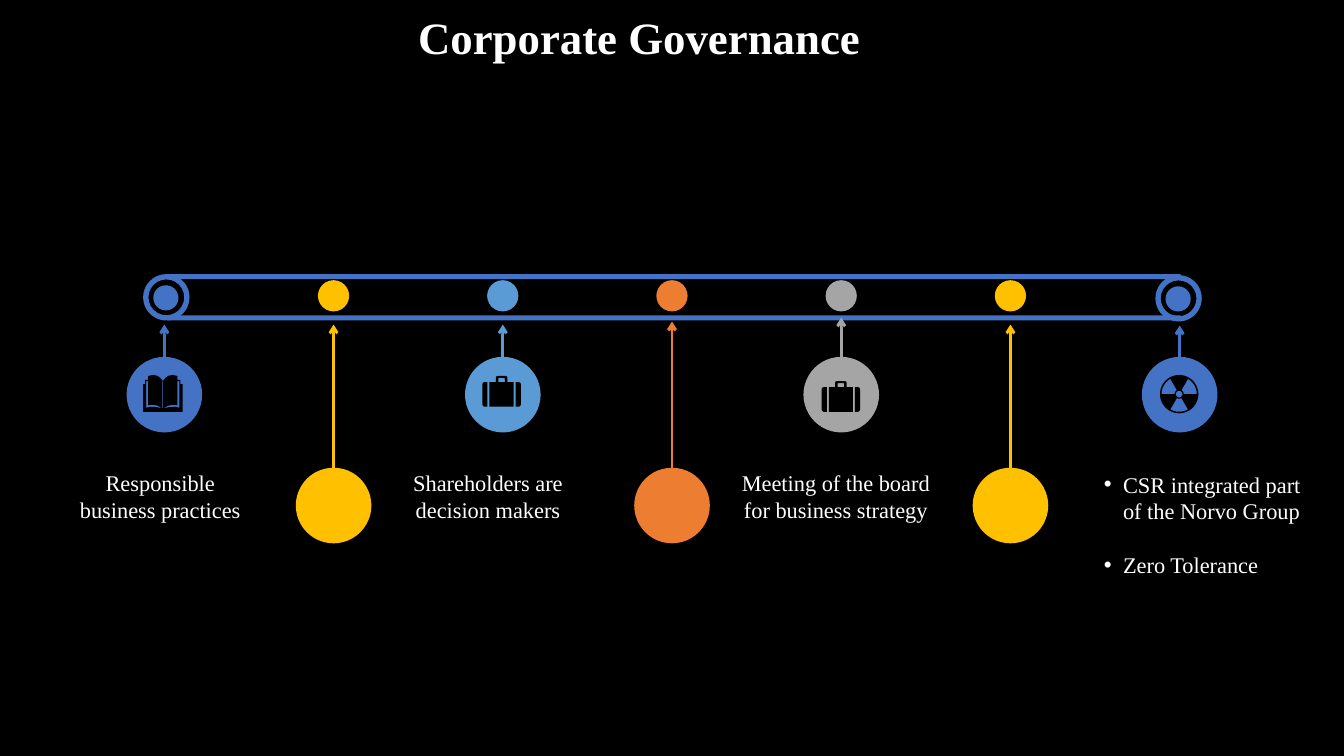
import math

import pptx
import pptx.util
from lxml import etree
from pptx.dml.color import RGBColor
from pptx.enum.shapes import MSO_CONNECTOR, MSO_SHAPE
from pptx.enum.text import MSO_ANCHOR, PP_ALIGN
from pptx.oxml.ns import qn
from pptx.util import Inches

FONT = "Times New Roman"
BLACK, WHITE = "000000", "FFFFFF"
BLUE, YELLOW, SKY, ORANGE, GRAY = "4472C4", "FFC000", "5B9BD5", "ED7D31", "A5A5A5"

TITLE = "Corporate Governance"
# colour, top of the large circle, tip of the arrow
HIGH, LOW = 3.54, 4.64
MILESTONES = [
    (BLUE, HIGH, 3.22),
    (YELLOW, LOW, 3.22),
    (SKY, HIGH, 3.22),
    (ORANGE, LOW, 3.19),
    (GRAY, HIGH, 3.15),
    (YELLOW, LOW, 3.22),
    (BLUE, HIGH, 3.23),
]
# left, top, width, height, text
CAPTIONS = [
    (0.66, 4.61, 1.86, 0.64, "Responsible business practices"),
    (3.85, 4.61, 1.98, 0.64, "Shareholders are decision makers"),
    (7.13, 4.61, 2.32, 0.64, "Meeting of the board for business strategy"),
]
BULLETS = ["CSR integrated part of the Norvo Group", "Zero Tolerance"]
BULLET_BOX = (10.85, 4.62, 2.32, 1.18)
PULLEYS = [(1.42, 2.72), (11.46, 2.73)]
BELT_TOPS = [2.72, 3.13]

FIRST_CENTER, LAST_CENTER = 1.63, 11.7
STEP = (LAST_CENTER - FIRST_CENTER) / (len(MILESTONES) - 1)
CIRCLE, DOT, DOT_TOP = 0.75, 0.31, 2.78

# Icon outlines: distance right of the icon's centre line, distance below its top
CASE_CAP = [(0.14, 0.06), (0.17, 0.06), (0.185, 0.067), (0.192, 0.085),
            (0.192, 0.28), (0.185, 0.297), (0.17, 0.305), (0.14, 0.305)]
CASE_BODY = [(0.04, 0), (0.053, 0.006), (0.058, 0.02), (0.058, 0.06),
             (0.12, 0.06), (0.12, 0.305)]
CASE_HANDLE = [(0.028, 0.02), (0.033, 0.028), (0.033, 0.06)]
BOOK_COVER = [(0, 0.06), (0.03, 0.025), (0.06, 0.006), (0.1, 0), (0.145, 0.01),
              (0.145, 0.05), (0.175, 0.05), (0.175, 0.09), (0.195, 0.09), (0.195, 0.365)]
BOOK_SPINE = [(0.004, 0.06), (0.004, 0.33)]
BOOK_PAGE = [(0.008, 0.33), (0.05, 0.305), (0.1, 0.295), (0.145, 0.3), (0.145, 0.06),
             (0.165, 0.06), (0.165, 0.325), (0.12, 0.315), (0.06, 0.32)]


def color(hex_text):
    return RGBColor.from_string(hex_text)


def add_filled(slide, kind, left, top, width, height, fill):
    shape = slide.shapes.add_shape(kind, *map(Inches, (left, top, width, height)))
    return paint(shape, fill)


def paint(shape, fill):
    shape.shadow.inherit = False
    shape.fill.solid()
    shape.fill.fore_color.rgb = color(fill)
    shape.line.fill.background()
    return shape


def add_text(slide, box, lines, size, bold=False, align=PP_ALIGN.CENTER):
    """Add a wrapped text box with one paragraph per line."""
    frame = slide.shapes.add_textbox(*map(Inches, box)).text_frame
    frame.word_wrap = True
    for index, line in enumerate(lines):
        paragraph = frame.paragraphs[0] if index == 0 else frame.add_paragraph()
        paragraph.alignment = align
        run = paragraph.add_run()
        run.text = line
        run.font.name = FONT
        run.font.size = pptx.util.Pt(size)
        run.font.bold = bold
        run.font.color.rgb = color(WHITE)
    return frame


def add_bullet(paragraph):
    properties = paragraph._p.get_or_add_pPr()
    properties.set("marL", str(Inches(0.19)))
    properties.set("indent", str(-Inches(0.19)))
    etree.SubElement(properties, qn("a:buFont")).set("typeface", "Arial")
    etree.SubElement(properties, qn("a:buChar")).set("char", "•")


def add_arrow(slide, x, start, tip, line_color):
    arrow = slide.shapes.add_connector(
        MSO_CONNECTOR.STRAIGHT, *map(Inches, (x, start, x, tip)))
    arrow.line.color.rgb = color(line_color)
    arrow.line.width = pptx.util.Pt(2)
    etree.SubElement(arrow.line._get_or_add_ln(), qn("a:tailEnd")).set("type", "arrow")
    etree.SubElement(arrow._element.spPr, qn("a:effectLst"))


def add_icon(slide, center, top, contours):
    """Draw closed contours as one shape; inner contours become holes."""
    placed = [[(Inches(center + x), Inches(top + y)) for x, y in contour]
              for contour in contours]
    builder = slide.shapes.build_freeform(*placed[0][0], scale=1.0)
    for index, contour in enumerate(placed):
        if index:
            builder.move_to(*contour[0])
        builder.add_line_segments(contour[1:], close=True)
    paint(builder.convert_to_shape(), BLACK)


def mirrored(points):
    return [(-x, y) for x, y in reversed(points)]


def symmetric(half):
    return half + mirrored(half)


def arc(radius, start, end, middle):
    steps = max(2, abs(end - start) // 5)
    angles = [math.radians(start + (end - start) * i / steps) for i in range(steps + 1)]
    return [(radius * math.cos(a), middle + radius * math.sin(a)) for a in angles]


def radiation_contours():
    middle = 0.19
    blades = [arc(0.175, a, a + 60, middle) + arc(0.045, a + 60, a, middle)
              for a in (60, 180, 300)]
    return [arc(0.19, 0, 360, middle), arc(0.033, 0, 360, middle)] + blades


def main():
    presentation = pptx.Presentation()
    presentation.slide_width = Inches(13.33)
    presentation.slide_height = Inches(7.5)
    slide = presentation.slides.add_slide(presentation.slide_layouts[6])
    slide.background.fill.solid()
    slide.background.fill.fore_color.rgb = color(BLACK)

    title = add_text(slide, (0.01, 0, 12.66, 0.79), [TITLE], 32, bold=True)
    title.vertical_anchor = MSO_ANCHOR.MIDDLE
    title.paragraphs[0].line_spacing = 0.9

    for left, top in PULLEYS:
        ring = add_filled(slide, MSO_SHAPE.DONUT, left, top, 0.46, 0.46, BLUE)
        ring.adjustments[0] = 0.114
        add_filled(slide, MSO_SHAPE.OVAL, left + 0.1, top + 0.11, 0.25, 0.25, BLUE)
    for top in BELT_TOPS:
        add_filled(slide, MSO_SHAPE.RECTANGLE, 1.66, top, 10.05, 0.05, BLUE)

    centers = [FIRST_CENTER + STEP * i for i in range(len(MILESTONES))]
    for index, (center, (fill, top, tip)) in enumerate(zip(centers, MILESTONES)):
        if 0 < index < len(MILESTONES) - 1:
            add_filled(slide, MSO_SHAPE.OVAL, center - DOT / 2, DOT_TOP, DOT, DOT, fill)
        add_filled(slide, MSO_SHAPE.OVAL, center - CIRCLE / 2, top, CIRCLE, CIRCLE, fill)
        add_arrow(slide, center, top + (0.06 if top == LOW else 0), tip, fill)

    for *box, text in CAPTIONS:
        add_text(slide, box, [text], 16)
    bullets = add_text(slide, BULLET_BOX, BULLETS, 16, align=PP_ALIGN.LEFT)
    bullets.paragraphs[1].space_before = pptx.util.Pt(19)
    for paragraph in bullets.paragraphs:
        add_bullet(paragraph)

    suitcase = [symmetric(CASE_BODY), symmetric(CASE_HANDLE), CASE_CAP, mirrored(CASE_CAP)]
    book = [symmetric(BOOK_COVER), symmetric(BOOK_SPINE), BOOK_PAGE, mirrored(BOOK_PAGE)]
    add_icon(slide, 1.615, 3.72, book)
    add_icon(slide, 4.975, 3.73, suitcase)
    add_icon(slide, 8.34, 3.78, suitcase)
    add_icon(slide, 11.695, 3.72, radiation_contours())

    presentation.save("out.pptx")


if __name__ == "__main__":
    main()
